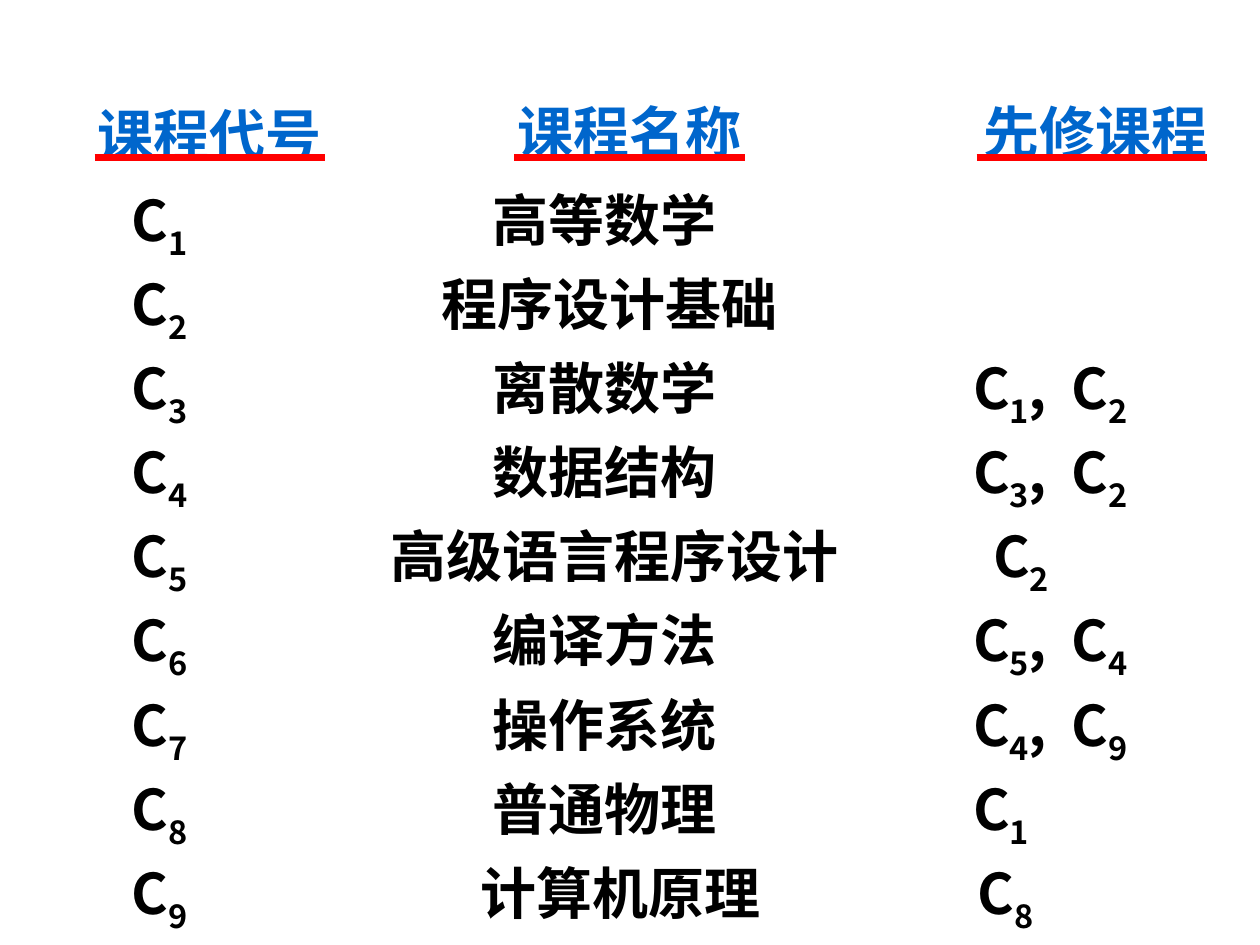
from pptx import Presentation
from pptx.dml.color import RGBColor
from pptx.enum.shapes import MSO_CONNECTOR as Connector
from pptx.enum.text import MSO_ANCHOR as Anchor, MSO_AUTO_SIZE as AutoSize, PP_ALIGN as Align
from pptx.oxml.ns import qn
from pptx.util import Pt
from lxml.etree import SubElement

NAME_TAB, FIRST_TAB, SECOND_TAB = 206.2, 481, 537.5

# Course name, numbers of the prerequisites, tab of the name, tab of the first prerequisite
COURSES = [
    ("高等数学", [], NAME_TAB, FIRST_TAB),
    ("程序设计基础", [], 177.2, FIRST_TAB),
    ("离散数学", [1, 2], NAME_TAB, FIRST_TAB),
    ("数据结构", [3, 2], NAME_TAB, FIRST_TAB),
    ("高级语言程序设计", [2], 148.2, 492.5),
    ("编译方法", [5, 4], NAME_TAB, FIRST_TAB),
    ("操作系统", [4, 9], NAME_TAB, FIRST_TAB),
    ("普通物理", [1], NAME_TAB, FIRST_TAB),
    ("计算机原理", [8], 199.7, 483.5),
]

# Heading, box (left, top, width, height), left end of the rule
HEADINGS = [
    ("课程代号", (48, 54, 144, 30), 54),
    ("课程名称", (292, 52, 136, 32), 294),
    ("先修课程", (558, 52, 136, 32), 558),
]


def color(value):
    return RGBColor.from_string(value)


class SlideBuilder:
    font_name = "Noto Sans CJK SC"
    font_size = 32
    text_color = "000000"
    heading_color = "0066CC"
    outline_color = "99CCFF"
    rule_color = "FF0000"

    def __init__(self, slide):
        self.slide = slide

    def text_box(self, box, margin_left):
        shape = self.slide.shapes.add_textbox(*map(Pt, box))
        frame = shape.text_frame
        frame.vertical_anchor = Anchor.TOP
        frame.margin_left, frame.margin_right = Pt(margin_left), Pt(0)
        return frame

    def style_run(self, run, hex_color):
        run.font.size = Pt(self.font_size)
        run.font.bold = True
        run.font.color.rgb = color(hex_color)
        run.font.name = self.font_name
        properties = run._r.get_or_add_rPr()
        SubElement(properties, qn("a:ea"), typeface=self.font_name)
        return properties

    def heading(self, text, box):
        frame = self.text_box(box, margin_left=0)
        frame.word_wrap = False
        frame.text = text
        paragraph = frame.paragraphs[0]
        paragraph.alignment = Align.CENTER
        properties = self.style_run(paragraph.runs[0], self.heading_color)
        # Text outline, which comes first in the run properties
        outline = SubElement(properties, qn("a:ln"), w=str(Pt(1.5)))
        fill = SubElement(outline, qn("a:solidFill"))
        SubElement(fill, qn("a:srgbClr"), val=self.outline_color)
        properties.insert(0, outline)

    def rule(self, left, top, width):
        line = self.slide.shapes.add_connector(
            Connector.STRAIGHT, Pt(left), Pt(top), Pt(left + width), Pt(top))
        line.line.color.rgb = color(self.rule_color)
        line.line.width = Pt(4.5)
        SubElement(line._element.spPr, qn("a:effectLst"))

    def add_run(self, paragraph, text, subscript=False):
        run = paragraph.add_run()
        run.text = text
        properties = self.style_run(run, self.text_color)
        if subscript:
            properties.set("baseline", "-25000")

    def course_row(self, paragraph, number, name, prerequisites, tabs):
        paragraph.line_spacing = 1.1
        tab_list = SubElement(paragraph._p.get_or_add_pPr(), qn("a:tabLst"))
        for position in tabs:
            SubElement(tab_list, qn("a:tab"), pos=str(Pt(position)), algn="l")
        self.add_run(paragraph, "C")
        self.add_run(paragraph, str(number), subscript=True)
        lead = f"\t{name}"
        for prerequisite in prerequisites:
            self.add_run(paragraph, f"{lead}\tC")
            self.add_run(paragraph, str(prerequisite), subscript=True)
            lead = ","
        if not prerequisites:
            self.add_run(paragraph, lead)

    def course_list(self, box, courses):
        frame = self.text_box(box, margin_left=36.8)
        frame.word_wrap = True
        frame.auto_size = AutoSize.SHAPE_TO_FIT_TEXT
        for number, (name, prerequisites, name_tab, first_tab) in enumerate(courses, 1):
            paragraph = frame.paragraphs[0] if number == 1 else frame.add_paragraph()
            self.course_row(paragraph, number, name, prerequisites,
                            (name_tab, first_tab, SECOND_TAB))


def main():
    presentation = Presentation()
    presentation.slide_width, presentation.slide_height = Pt(720), Pt(540)
    builder = SlideBuilder(presentation.slides.add_slide(presentation.slide_layouts[6]))

    # Courses with their codes and prerequisites
    builder.course_list((38.2, 98, 651.6, 387.4), COURSES)

    # Column headings, then the rules under them
    for text, box, _ in HEADINGS:
        builder.heading(text, box)
    for _, _, rule_left in HEADINGS:
        builder.rule(rule_left, 90, 132)

    presentation.save("out.pptx")


if __name__ == "__main__":
    main()
